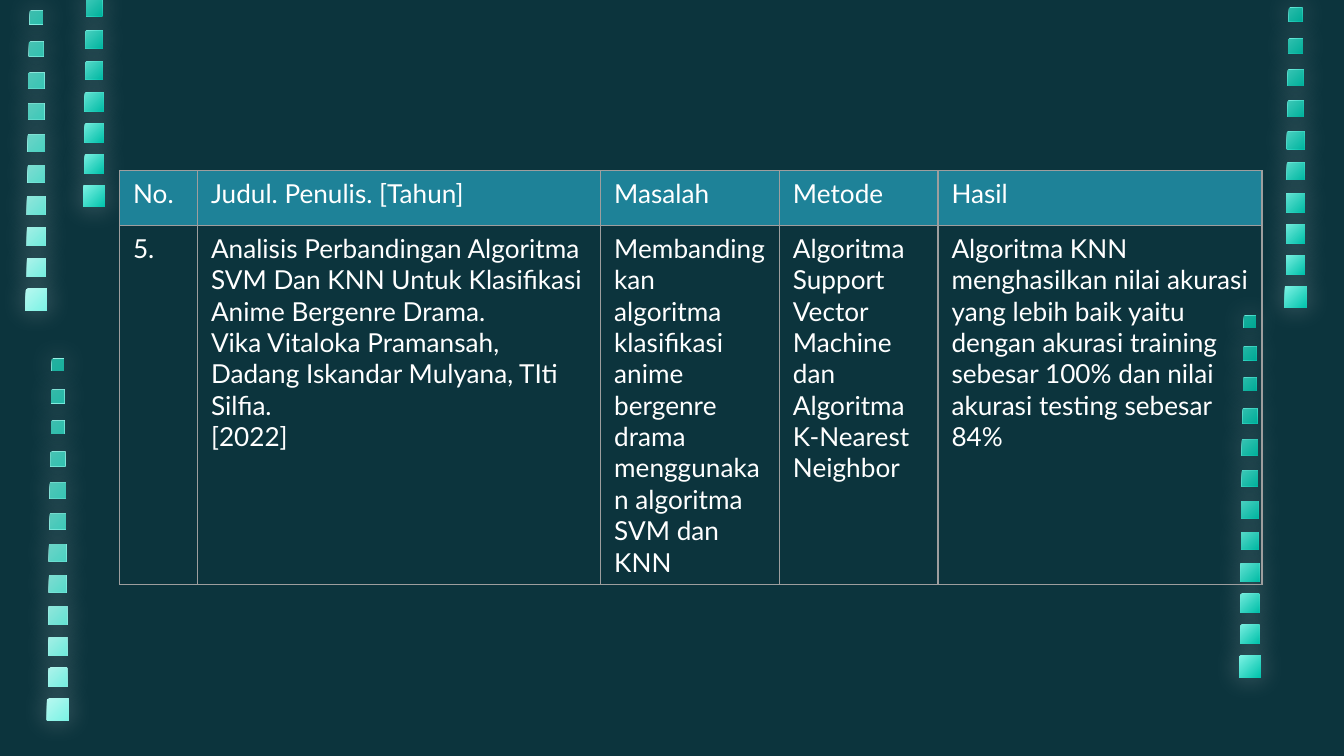
from lxml import etree
from pptx import Presentation
from pptx.dml.color import RGBColor as RGB
from pptx.enum.shapes import MSO_SHAPE as Shape
from pptx.oxml.ns import qn
from pptx.util import Inches, Pt


class Theme:
    background = RGB.from_string("0C343D")
    mint = RGB.from_string("B6F8F0")
    aqua = RGB.from_string("7DF3E5")
    teal = RGB.from_string("02C5AE")
    shade = RGB.from_string("009F8C")
    glow = RGB.from_string("FFFFFF")
    header = RGB.from_string("1E8298")
    border = RGB.from_string("9E9E9E")
    text = RGB.from_string("FFFFFF")
    font = "Lato"
    text_size = Pt(14)
    border_width = Pt(0.75)
    glow_blur = Pt(14.6)


def add_color(parent, color, opacity=100):
    """Append an RGB colour with the given opacity in percent."""
    node = etree.SubElement(parent, qn("a:srgbClr"), val=str(color))
    etree.SubElement(node, qn("a:alpha"), val=str(opacity * 1000))


def add_square(shapes, center, top, size):
    """Add a borderless square centred on its column."""
    square = shapes.add_shape(Shape.RECTANGLE, Inches(center - size / 2),
                              Inches(top), Inches(size), Inches(size))
    square.line.fill.background()
    square.shadow.inherit = False
    return square


# Widescreen 16:9 slide
prs = Presentation()
prs.slide_width, prs.slide_height = Inches(10), Inches(10 * 9 / 16)
slide = prs.slides.add_slide(prs.slide_layouts[6])
slide.background.fill.solid()
slide.background.fill.fore_color.rgb = Theme.background

# Columns of glowing squares, each built upwards from its largest square
STEP = 0.23
SIZES = [0.16, 0.14, 0.14, 0.14, 0.13, 0.13, 0.12, 0.12, 0.11, 0.1, 0.1, 0.09]
SHADES = [0, 5, 10, 20, 30, 40, 50, 55, 60, 65, 70, 80]
bright, deep = (Theme.mint, Theme.aqua), (Theme.aqua, Theme.teal)
columns = [  # centre, top of lowest square, number of squares, gradient
    (9.64, 2.13, 10, deep),
    (0.27, 2.15, 10, bright),
    (9.3, 4.88, 12, deep),
    (0.7, 1.38, 7, deep),
    (0.43, 5.2, 12, bright),
]
for center, base, count, gradient in columns:
    column = slide.shapes.add_group_shape().shapes
    places = [(base - STEP * i, SIZES[i], SHADES[i]) for i in range(count)]

    for top, size, _ in places:
        light = add_square(column, center, top, size)
        light.fill.gradient()
        light.fill.gradient_angle = 315
        for stop, color in zip(light.fill.gradient_stops, gradient):
            stop.color.rgb = color
        effects = light._element.spPr.find(qn("a:effectLst"))
        glow = etree.SubElement(effects, qn("a:outerShdw"), blurRad=str(Theme.glow_blur),
                                dist="0", dir="0", algn="ctr", rotWithShape="0")
        add_color(glow, Theme.glow, 31)

    # Shading that deepens towards the top
    for top, size, opacity in places[1:]:
        shading = add_square(column, center, top, size)
        shading.fill.solid()
        shading.fill.fore_color.rgb = Theme.shade
        color_node = shading._element.spPr.find(qn("a:solidFill"))[0]
        etree.SubElement(color_node, qn("a:alpha"), val=str(opacity * 1000))

# Literature review table
rows = [
    ["No.", "Judul. Penulis. [Tahun]", "Masalah", "Metode", "Hasil"],
    [
        "5.",
        "Analisis Perbandingan Algoritma SVM Dan KNN Untuk Klasifikasi Anime Bergenre Drama.\n"
        "Vika Vitaloka Pramansah, Dadang Iskandar Mulyana, TIti Silfia.\n"
        "[2022]",
        "Membandingkan algoritma klasifikasi anime bergenre drama menggunakan "
        "algoritma SVM dan KNN",
        "Algoritma Support Vector Machine dan Algoritma K-Nearest Neighbor",
        "Algoritma KNN menghasilkan nilai akurasi yang lebih baik yaitu dengan akurasi "
        "training sebesar 100% dan nilai akurasi testing sebesar 84%",
    ],
]
widths = [0.58, 3, 1.33, 1.18, 2.41]
heights = [0.41, 2.67]
review = slide.shapes.add_table(len(rows), len(widths), Inches(0.89), Inches(1.27),
                                Inches(sum(widths)), Inches(sum(heights))).table
review.first_row = review.horz_banding = False
for review_column, width in zip(review.columns, widths):
    review_column.width = Inches(width)
for review_row, height in zip(review.rows, heights):
    review_row.height = Inches(height)

for r, entries in enumerate(rows):
    for c, entry in enumerate(entries):
        cell = review.cell(r, c)
        cell.text_frame.text = entry
        for paragraph in cell.text_frame.paragraphs:
            for run in paragraph.runs:
                run.font.name = Theme.font
                run.font.size = Theme.text_size
                run.font.color.rgb = Theme.text

        # Borders come before the fill in the cell properties
        properties = cell._tc.get_or_add_tcPr()
        for side in ("a:lnL", "a:lnR", "a:lnT", "a:lnB"):
            edge = etree.SubElement(properties, qn(side), w=str(Theme.border_width))
            add_color(etree.SubElement(edge, qn("a:solidFill")), Theme.border)
        if r == 0:
            cell.fill.solid()
            cell.fill.fore_color.rgb = Theme.header
        else:
            cell.fill.background()

prs.save("out.pptx")
